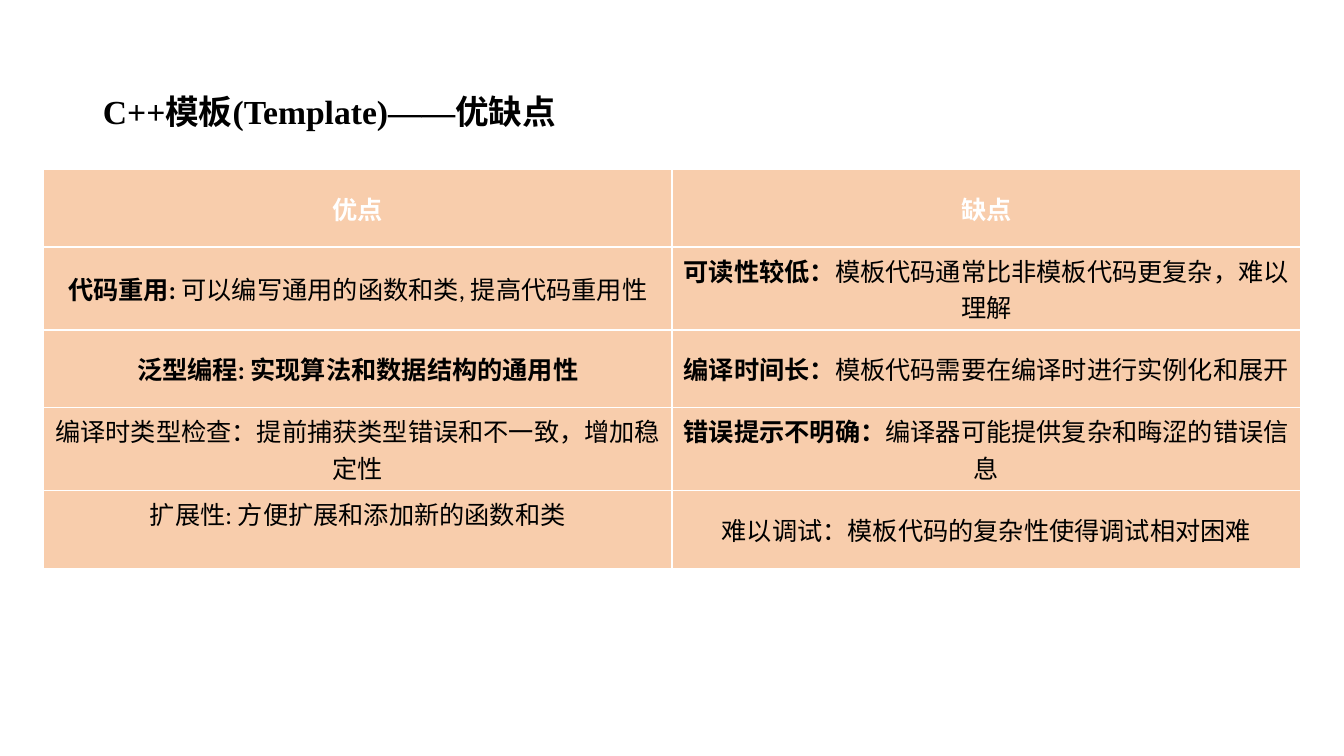
from pptx import Presentation
from pptx.dml.color import RGBColor
from pptx.enum.text import MSO_ANCHOR, PP_ALIGN
from pptx.util import Inches, Pt

BLACK, WHITE, PEACH = "000000", "FFFFFF", "F8CDAC"
ROW_HEIGHT = 0.77

# Each cell is a pair: bold lead, regular remainder.
HEADERS = [("优点", ""), ("缺点", "")]
COMPARISON = [
    [("代码重用: ", "可以编写通用的函数和类, 提高代码重用性"),
     ("可读性较低：", "模板代码通常比非模板代码更复杂，难以理解")],
    [("泛型编程: 实现算法和数据结构的通用性", ""),
     ("编译时间长：", "模板代码需要在编译时进行实例化和展开")],
    [("", "编译时类型检查：提前捕获类型错误和不一致，增加稳定性"),
     ("错误提示不明确：", "编译器可能提供复杂和晦涩的错误信息")],
    [("", "扩展性: 方便扩展和添加新的函数和类"),
     ("", "难以调试：模板代码的复杂性使得调试相对困难")],
]


def color(hex_string):
    return RGBColor.from_string(hex_string)


def add_text(paragraph, text, size=18, font="Calibri", fill=BLACK, bold=False):
    run = paragraph.add_run()
    run.text = text
    run.font.size = Pt(size)
    run.font.name = font
    run.font.bold = bold
    run.font.color.rgb = color(fill)


def place_title(slide, left, top, width, height):
    title = slide.shapes.title
    title.left, title.top = Inches(left), Inches(top)
    title.width, title.height = Inches(width), Inches(height)
    frame = title.text_frame
    frame.word_wrap = True
    frame.vertical_anchor = MSO_ANCHOR.MIDDLE
    paragraph = frame.paragraphs[0]
    paragraph.alignment = PP_ALIGN.LEFT
    paragraph.line_spacing = 0.9
    add_text(paragraph, "C++模板(Template)——优缺点",
             size=24, font="Times New Roman", bold=True)


def fill_cell(cell, lead, remainder, text_color):
    cell.fill.solid()
    cell.fill.fore_color.rgb = color(PEACH)
    cell.vertical_anchor = MSO_ANCHOR.MIDDLE
    paragraph = cell.text_frame.paragraphs[0]
    paragraph.alignment = PP_ALIGN.CENTER
    for text, bold in ((lead, True), (remainder, False)):
        if text:
            add_text(paragraph, text, fill=text_color, bold=bold)


def add_comparison_table(slide, left, top, width):
    rows = [HEADERS] + COMPARISON
    frame = slide.shapes.add_table(
        len(rows), len(HEADERS), Inches(left), Inches(top),
        Inches(width), Inches(ROW_HEIGHT * len(rows)))
    table = frame.table
    for row_index, row in enumerate(rows):
        text_color = WHITE if row_index == 0 else BLACK
        for column_index, (lead, remainder) in enumerate(row):
            fill_cell(table.cell(row_index, column_index),
                      lead, remainder, text_color)
    extensibility_cell = table.cell(len(rows) - 1, 0)
    extensibility_cell.vertical_anchor = MSO_ANCHOR.TOP


def main():
    presentation = Presentation()
    presentation.slide_width = Inches(13.33)
    presentation.slide_height = Inches(7.5)
    slide = presentation.slides.add_slide(presentation.slide_layouts[5])
    place_title(slide, 0.92, 0.4, 11.5, 1.45)
    add_comparison_table(slide, 0.43, 1.68, 12.47)
    presentation.save("out.pptx")


if __name__ == "__main__":
    main()
